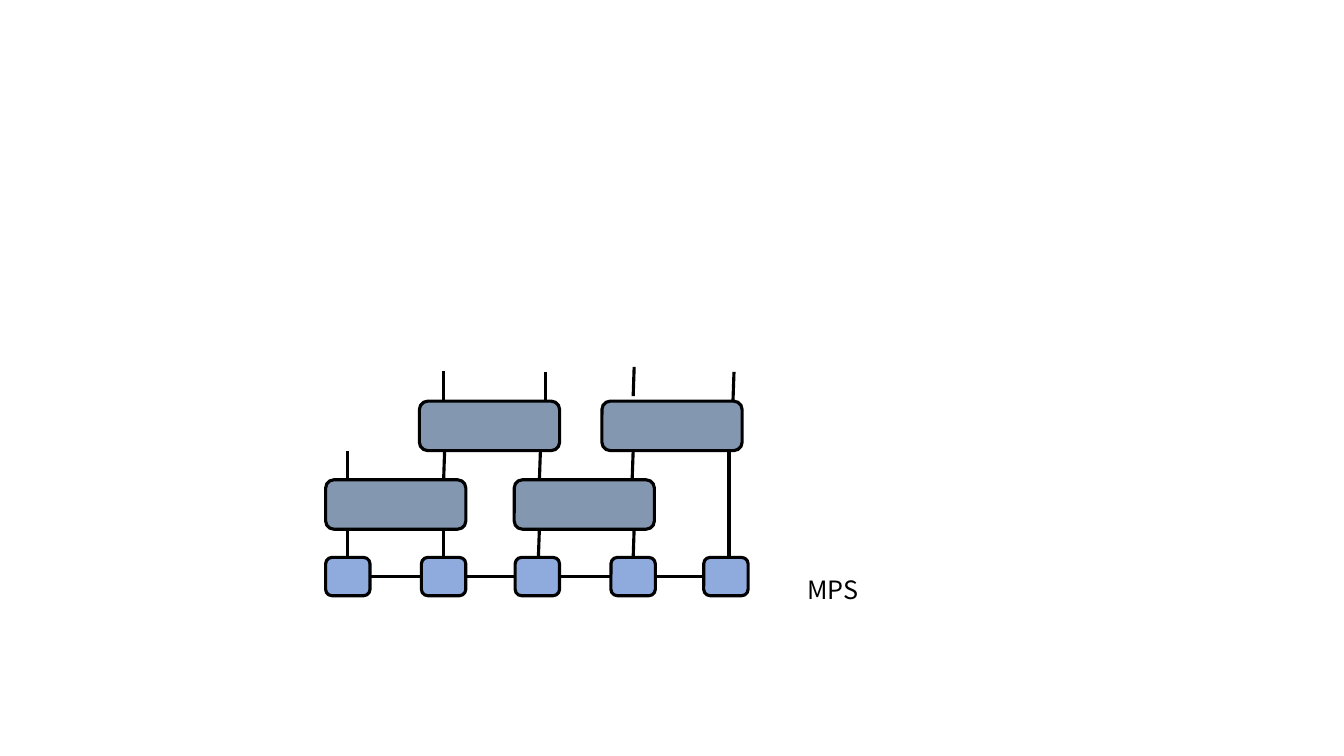
import itertools

import pptx
import pptx.dml.color
import pptx.enum.shapes
import pptx.oxml.ns
import pptx.util
import lxml.etree

Inches = pptx.util.Inches
BLACK = pptx.dml.color.RGBColor(0x00, 0x00, 0x00)
SITE_BLUE = pptx.dml.color.RGBColor(0x8F, 0xAA, 0xDC)
GATE_GRAY = pptx.dml.color.RGBColor(0x84, 0x97, 0xB0)


class CircuitPage:
    """Draws tensors, legs and labels of a tensor network on one slide."""

    font_name = "Noto Sans CJK SC"
    font_size = pptx.util.Pt(18)
    line_width = pptx.util.Pt(2.25)

    def __init__(self, page):
        self.page = page

    def tensor(self, left, top, width, height, color):
        box = self.page.shapes.add_shape(
            pptx.enum.shapes.MSO_SHAPE.ROUNDED_RECTANGLE,
            Inches(left), Inches(top), Inches(width), Inches(height))
        box.shadow.inherit = False
        box.fill.solid()
        box.fill.fore_color.rgb = color
        box.line.color.rgb = BLACK
        box.line.width = self.line_width

    def leg(self, start_x, start_y, end_x, end_y):
        line = self.page.shapes.add_connector(
            pptx.enum.shapes.MSO_CONNECTOR.STRAIGHT,
            Inches(start_x), Inches(start_y), Inches(end_x), Inches(end_y))
        line.line.color.rgb = BLACK
        line.line.width = self.line_width
        properties = line._element.spPr
        lxml.etree.SubElement(properties, pptx.oxml.ns.qn("a:effectLst"))

    def label(self, text, left, top, width, height):
        box = self.page.shapes.add_textbox(
            Inches(left), Inches(top), Inches(width), Inches(height))
        box.text_frame.word_wrap = True
        para = box.text_frame.paragraphs[0]
        para.text = text
        para.font.name = self.font_name
        para.font.size = self.font_size
        para.font.color.rgb = BLACK


def main():
    deck = pptx.Presentation()
    deck.slide_width = Inches(13.33)
    deck.slide_height = Inches(7.5)
    circuit = CircuitPage(deck.slides.add_slide(deck.slide_layouts[6]))

    site_lefts = [3.23, 4.18, 5.11, 6.06, 6.98]
    site_top, site_width, site_height = 5.53, 0.44, 0.38
    gate_width, gate_height, leg_height = 1.39, 0.49, 0.29
    lower_top, upper_top = 4.76, 3.98

    for left in site_lefts:
        circuit.tensor(left, site_top, site_width, site_height, SITE_BLUE)

    for start, end in [(3.45, 3.45), (4.4, 4.4), (5.35, 5.34), (6.29, 6.28)]:
        circuit.leg(start, site_top - leg_height, end, site_top)
    circuit.leg(7.23, upper_top + gate_height, 7.23, site_top)

    bond_y = site_top + site_height / 2
    for left, following in itertools.pairwise(site_lefts):
        circuit.leg(left + site_width, bond_y, following, bond_y)

    for left in [3.23, 5.1]:
        circuit.tensor(left, lower_top, gate_width, gate_height, GATE_GRAY)
    for start, end in [(4.41, 4.4), (3.45, 3.45), (5.36, 5.35), (6.28, 6.27)]:
        circuit.leg(start, lower_top - leg_height, end, lower_top)

    for left in [4.16, 5.97]:
        circuit.tensor(left, upper_top, gate_width, gate_height, GATE_GRAY)
    for start, end, top in [(4.4, 4.4, 3.68), (5.41, 5.41, 3.69),
                            (6.29, 6.28, 3.64), (7.28, 7.27, 3.69)]:
        circuit.leg(start, top, end, top + leg_height)

    circuit.label("MPS", 7.91, 5.65, 1.15, 0.4)
    deck.save("out.pptx")


if __name__ == "__main__":
    main()
